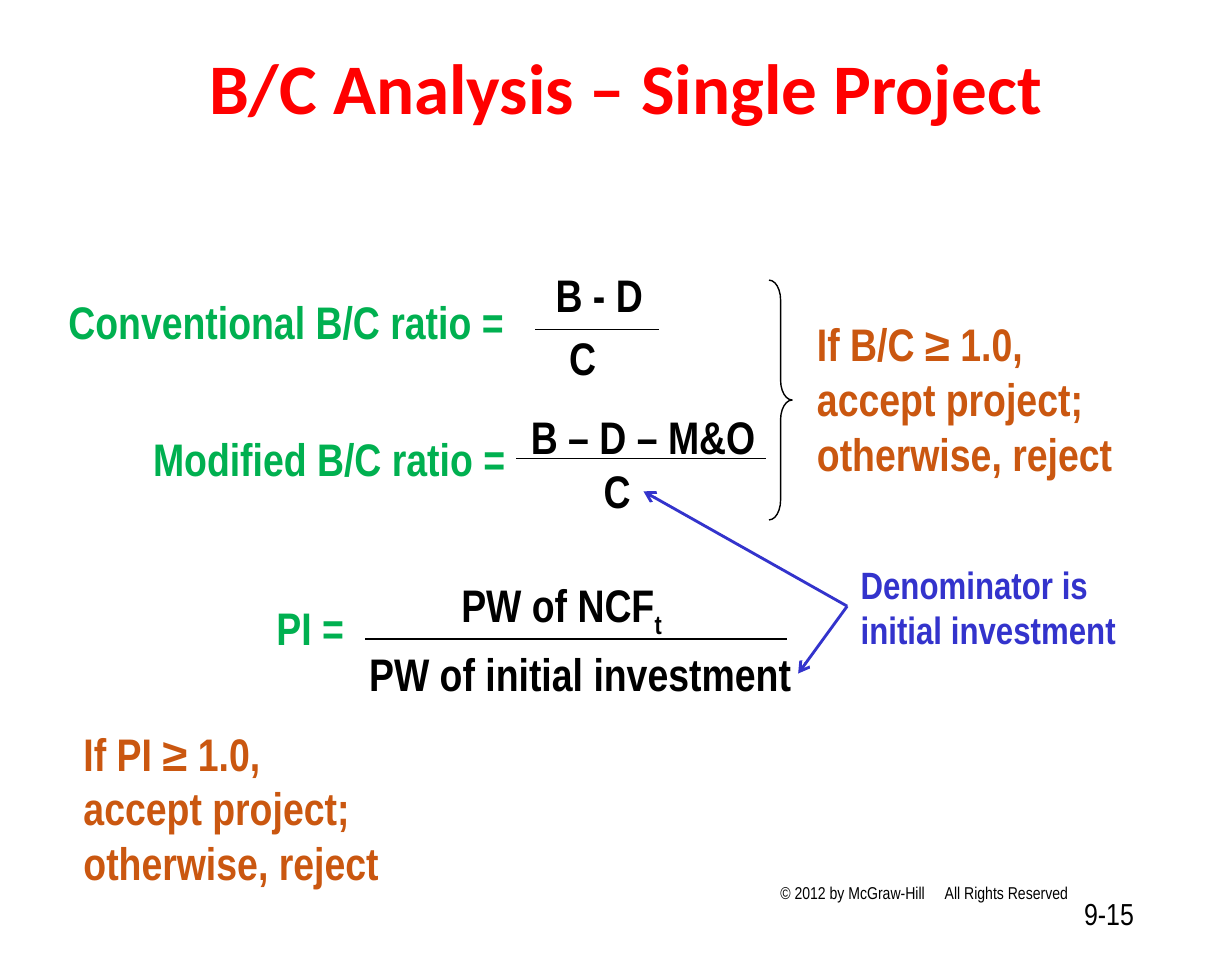
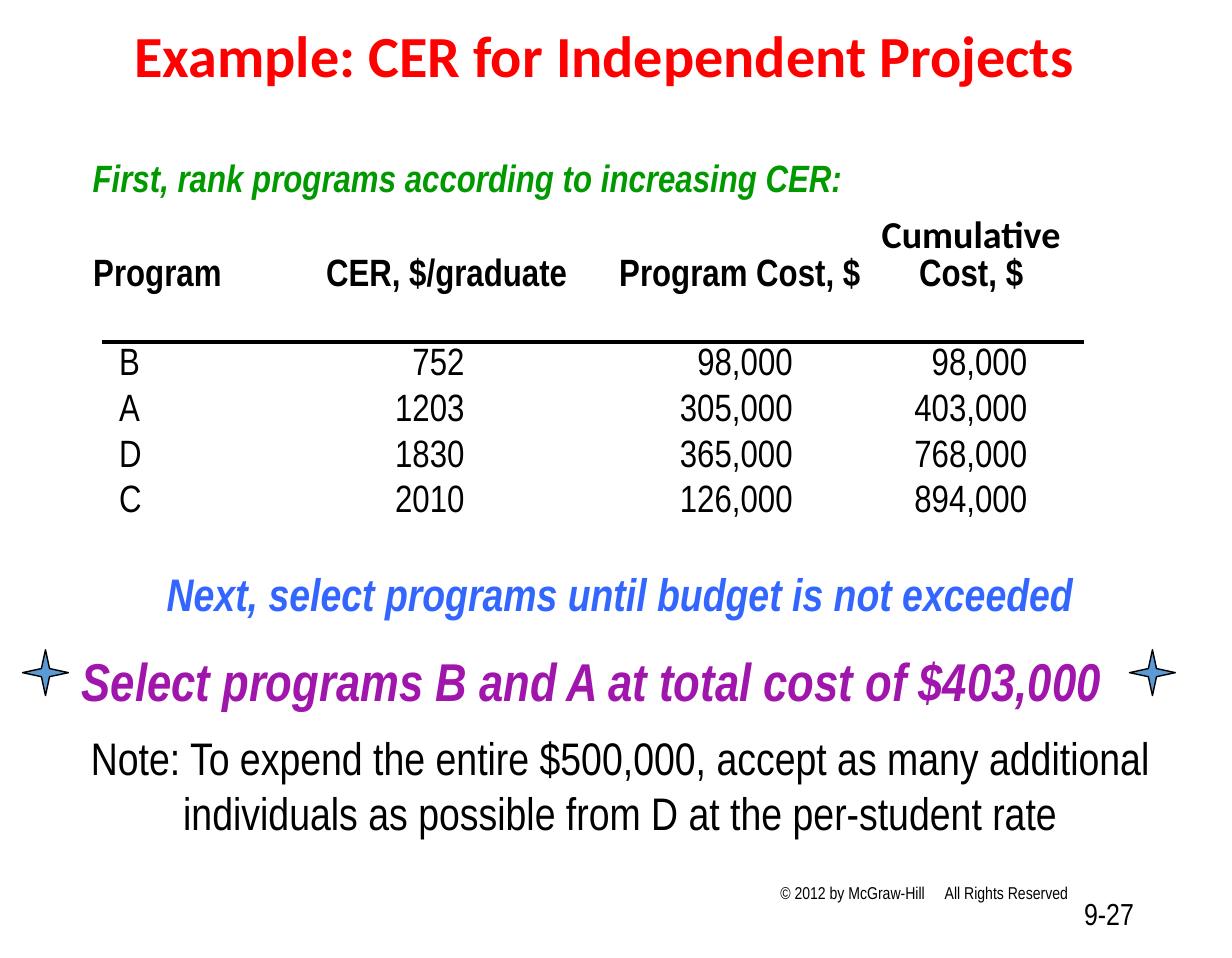
"""Build two slides on benefit/cost analysis and cost-effectiveness ratios."""
from lxml.etree import SubElement
from pptx import Presentation
from pptx.dml.color import RGBColor
from pptx.enum.shapes import MSO_CONNECTOR, MSO_SHAPE
from pptx.enum.text import MSO_ANCHOR, MSO_AUTO_SIZE, PP_ALIGN
from pptx.oxml.ns import qn
from pptx.util import Cm, Pt

BLACK, RED, GREEN, ORANGE = "000000", "FF0000", "00B050", "CA5710"
INDIGO, LEAF, BLUE, PURPLE, STEEL = "3333CC", "009900", "3366FF", "A015AB", "5B9BD5"
LEFT, CENTER, RIGHT = PP_ALIGN.LEFT, PP_ALIGN.CENTER, PP_ALIGN.RIGHT


def rgb(color):
    return RGBColor.from_string(color)


def write(tf, text, size=24, color=BLACK, font="Arial Narrow", bold=False, italic=False,
          align=LEFT, before=0, spacing=None, sub="", tab=None):
    for i, line in enumerate(text.split("\n")):
        p = tf.add_paragraph() if tf.text else tf.paragraphs[0]
        p.alignment = align
        p.line_spacing = spacing
        if before and i == 0:
            p.space_before = Pt(before)
        if tab:
            tabs = SubElement(p._p.get_or_add_pPr(), qn("a:tabLst"))
            SubElement(tabs, qn("a:tab"), pos=str(Cm(tab)), algn="l")
        for part in filter(None, (line, sub)):
            r = p.add_run()
            r.text = part
            r.font.name, r.font.size = font, Pt(size)
            r.font.bold, r.font.italic = bold, italic
            r.font.color.rgb = rgb(color)
        if sub:
            r.font._element.set("baseline", "-25000")


prs = Presentation()
prs.slide_width, prs.slide_height = Cm(22.86), Cm(17.78)

titles = [
    ("B/C Analysis – Single Project", 37.4, (1.78, 0.64, 19.69, 2.11), MSO_ANCHOR.MIDDLE, "9-15"),
    ("Example: CER for Independent Projects", 30.6, (0.25, 0.38, 21.92, 1.93), MSO_ANCHOR.TOP, "9-27"),
]
for text, size, box, anchor, number in titles:
    s = prs.slides.add_slide(prs.slide_layouts[5])
    title = s.shapes.title
    title.left, title.top, title.width, title.height = map(Cm, box)
    tf = title.text_frame
    tf.auto_size, tf.vertical_anchor = MSO_AUTO_SIZE.NONE, anchor
    write(tf, text, size, RED, "Calibri", bold=True, align=CENTER, spacing=0.9)
    footers = [
        ("© 2012 by McGraw-Hill\tAll Rights Reserved", (14.23, 16.2, 5.95, 0.74), dict(size=9, tab=3.05)),
        (number, (16.13, 16.48, 5.16, 0.94), dict(size=16, align=RIGHT)),
    ]
    for text, box, fmt in footers:
        tf = s.shapes.add_textbox(*map(Cm, box)).text_frame
        tf.word_wrap, tf.vertical_anchor = True, MSO_ANCHOR.MIDDLE
        write(tf, text, **fmt)
ratios, ranking = prs.slides

texts = [
    (ratios, "Conventional B/C ratio =", (1.02, 5.33, 9, 1.27), dict(color=GREEN)),
    (ratios, "B - D", (10.06, 4.83, 2.3, 1.27), {}),
    (ratios, "C", (10.31, 5.99, 1.2, 1.27), {}),
    (ratios, "Modified B/C ratio =", (2.59, 7.87, 7.82, 1.27), dict(color=GREEN)),
    (ratios, "B – D – M&O", (9.6, 7.47, 4.8, 1.27), {}),
    (ratios, "C", (10.95, 8.46, 1.2, 1.27), {}),
    (ratios, "If B/C ≥ 1.0,\naccept project;\notherwise, reject", (14.91, 5.74, 6.3, 3.3), dict(color=ORANGE)),
    (ratios, "PI =", (4.88, 11, 2.36, 1.27), dict(color=GREEN)),
    (ratios, "PW of initial investment", (6.6, 11.86, 8.5, 1.27), {}),
    (ratios, "PW of NCF", (8.31, 10.59, 4.5, 1.42), dict(sub="t")),
    (ratios, "Denominator is\ninitial investment", (15.72, 10.29, 5.6, 1.96), dict(size=20, color=INDIGO)),
    (ratios, "If PI ≥ 1.0,\naccept project;\notherwise, reject", (1.3, 13.34, 6.3, 3.3), dict(color=ORANGE)),
    (ranking, "First, rank programs according to increasing CER:", (1.47, 2.75, 19.05, 1.1),
     dict(size=20, color=LEAF, italic=True)),
]
for s, text, box, fmt in texts:
    tf = s.shapes.add_textbox(*map(Cm, box)).text_frame
    tf.word_wrap = True
    write(tf, text, bold=True, **fmt)

brace = ratios.shapes.add_shape(MSO_SHAPE.RIGHT_BRACE, Cm(14.27), Cm(5.2), Cm(0.43), Cm(4.45))
brace.shadow.inherit = False
brace.adjustments[0] = 0.85
brace.fill.background()
brace.line.color.rgb = rgb(BLACK)
brace.line.width = Pt(0.75)

rows = [
    ("Program", "CER, $/graduate", "Program Cost, $", "Cumulative\nCost, $"),
    ("B", "752", "98,000", "98,000"),
    ("A", "1203", "305,000", "403,000"),
    ("D", "1830", "365,000", "768,000"),
    ("C", "2010", "126,000", "894,000"),
]
widths = (4.32, 5.44, 4.72, 3.62)
right_margins = (0, 2.87, 1.5, 0.77)
table = ranking.shapes.add_table(len(rows), len(widths), Cm(1.73), Cm(3.72),
                                 Cm(sum(widths)), Cm(5.95)).table
table.first_row = table.horz_banding = False
for col, width in zip(table.columns, widths):
    col.width = Cm(width)
for i, row in enumerate(rows):
    header = i == 0
    table.rows[i].height = Cm(2.55 if header else 0.85)
    for j, text in enumerate(row):
        cell = table.cell(i, j)
        cell.fill.background()
        cell.vertical_anchor = MSO_ANCHOR.BOTTOM
        cell.margin_top = 0
        cell.margin_bottom = Cm(0.8 if header else 0)
        cell.margin_left = Cm(0 if header or j else 0.48)
        cell.margin_right = Cm(0 if header else right_margins[j])
        if header:
            align = CENTER if j == 3 else LEFT
        else:
            align = RIGHT if j else LEFT
        write(cell.text_frame, text, 20, bold=header, align=align)
table.cell(0, 3).text_frame.paragraphs[0].runs[0].font.name = "Calibri"

tf = ranking.shapes.add_textbox(Cm(1.27), Cm(10.38), Cm(20.47), Cm(5.33)).text_frame
tf.word_wrap = True
write(tf, "Next, select programs until budget is not exceeded", color=BLUE, bold=True, italic=True, align=CENTER)
write(tf, "Select programs B and A at total cost of $403,000", 28, PURPLE, bold=True, italic=True, before=14.5)
write(tf, "Note: To expend the entire $500,000, accept as many additional individuals "
          "as possible from D at the per-student rate", align=CENTER, before=9.5)

for left in (0.42, 20.96):
    star = ranking.shapes.add_shape(MSO_SHAPE.STAR_4_POINT, Cm(left), Cm(12.06), Cm(0.85), Cm(0.85))
    star.shadow.inherit = False
    star.fill.solid()
    star.fill.fore_color.rgb = rgb(STEEL)
    star.line.color.rgb = rgb(BLACK)
    star.line.width = Pt(0.75)

lines = [
    (ratios, (9.93, 6.12, 12.22, 6.12), BLACK, 0.75, False),
    (ratios, (9.58, 8.51, 14.22, 8.51), BLACK, 0.75, False),
    (ratios, (6.78, 11.86, 14.6, 11.86), BLACK, 0.75, False),
    (ratios, (15.72, 11.25, 11.94, 9.12), INDIGO, 1.5, True),
    (ratios, (15.72, 11.25, 14.81, 12.5), INDIGO, 1.5, True),
    (ranking, (1.9, 6.35, 20.12, 6.35), BLACK, 2.25, False),
]
for s, ends, color, width, arrow in lines:
    c = s.shapes.add_connector(MSO_CONNECTOR.STRAIGHT, *map(Cm, ends))
    c.line.color.rgb = rgb(color)
    c.line.width = Pt(width)
    if arrow:
        SubElement(c._element.spPr.find(qn("a:ln")), qn("a:tailEnd"), type="arrow")
    SubElement(c._element.spPr, qn("a:effectLst"))

prs.save("out.pptx")
